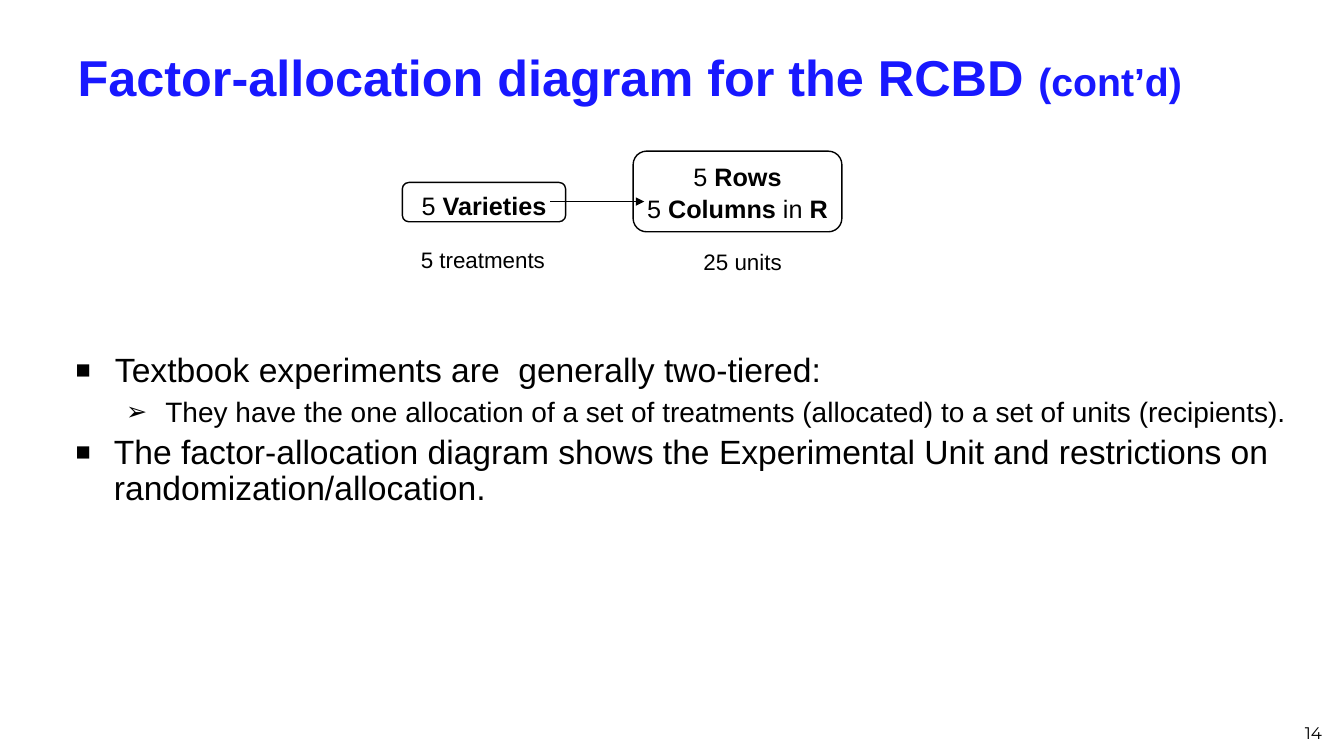
import pptx
import pptx.util
import pptx.oxml
import pptx.oxml.ns
import pptx.dml.color
import pptx.enum.shapes
import pptx.enum.text
import lxml.etree

Inches = pptx.util.Inches
Pt = pptx.util.Pt
ALIGN = pptx.enum.text.PP_ALIGN
ANCHOR = pptx.enum.text.MSO_ANCHOR

COLORS = {"title": "1818FF", "ink": "000000"}
FONT = "Arial"

TITLE = [("Factor-allocation diagram for the RCBD ", 36), ("(cont’d)", 28)]
PAGE_NUMBER = "14"
BULLETS = [
    ("Textbook experiments are  generally two-tiered:", 0, 24, 0.39, 0),
    ("They have the one allocation of a set of treatments (allocated) "
     "to a set of units (recipients).", 1, 20, 0.89, 6),
    ("The factor-allocation diagram shows the Experimental Unit and "
     "restrictions on randomization/allocation.", 0, 24, 0.38, 4.8),
]
BULLET_MARKS = [("■", 75), ("➢", 90)]
PANELS = [
    {"box": (3.99, 1.81, 1.62, 0.39),
     "lines": [[("5 ", False), ("Varieties", True)]],
     "label": "5 treatments", "label_box": (4.06, 2.39, 1.46, 0.37)},
    {"box": (6.28, 1.5, 2.07, 0.8),
     "lines": [[("5 ", False), ("Rows", True)],
               [("5 ", False), ("Columns", True), (" in ", False), ("R", True)]],
     "label": "25 units", "label_box": (6.54, 2.41, 1.65, 0.37)},
]
ARROW = (5.46, 2, 6.39, 2)


def rgb(name):
    return pptx.dml.color.RGBColor.from_string(COLORS[name])


def style(run, size, bold=False, color="ink", font=FONT):
    run.font.size = Pt(size)
    run.font.bold = bold
    run.font.name = font
    run.font.color.rgb = rgb(color)


def add_run(paragraph, text, size, **look):
    run = paragraph.add_run()
    run.text = text
    style(run, size, **look)


def place(shape, left, top, width, height):
    shape.left, shape.top = Inches(left), Inches(top)
    shape.width, shape.height = Inches(width), Inches(height)


def add_element(parent, tag, **attributes):
    element = lxml.etree.SubElement(parent, pptx.oxml.ns.qn(tag))
    for name, value in attributes.items():
        element.set(name, str(value))
    return element


def add_bullet(paragraph, level, margin):
    mark, percent = BULLET_MARKS[level]
    properties = paragraph._p.get_or_add_pPr()
    properties.set("marL", str(Inches(margin)))
    properties.set("indent", str(-Inches(min(margin, 0.39))))
    color = add_element(properties, "a:buClr")
    add_element(color, "a:srgbClr", val=COLORS["ink"])
    add_element(properties, "a:buSzPct", val=percent * 1000)
    add_element(properties, "a:buFont", typeface=FONT)
    add_element(properties, "a:buChar", char=mark)


def add_text(slide, box, text, size, align, anchor, font=FONT):
    frame = slide.shapes.add_textbox(*map(Inches, box)).text_frame
    frame.word_wrap = True
    frame.vertical_anchor = anchor
    frame.paragraphs[0].alignment = align
    add_run(frame.paragraphs[0], text, size, font=font)


def add_title(slide):
    title = slide.shapes.title
    place(title, 0.67, 0.21, 12, 1.1)
    frame = title.text_frame
    frame.auto_size = pptx.enum.text.MSO_AUTO_SIZE.NONE
    frame.vertical_anchor = ANCHOR.MIDDLE
    frame.paragraphs[0].alignment = ALIGN.LEFT
    for text, size in TITLE:
        add_run(frame.paragraphs[0], text, size, bold=True, color="title")


def add_body(slide):
    body = slide.placeholders[1]
    place(body, 0.65, 3.46, 12.65, 3.96)
    frame = body.text_frame
    frame.auto_size = pptx.enum.text.MSO_AUTO_SIZE.NONE
    frame.text = "\n".join(bullet[0] for bullet in BULLETS)
    for paragraph, (text, level, size, margin, before) in zip(frame.paragraphs, BULLETS):
        add_bullet(paragraph, level, margin)
        paragraph.level = level
        paragraph.line_spacing = 0.9
        paragraph.space_before = Pt(before)
        style(paragraph.runs[0], size)


def add_panel(slide, panel):
    shape = slide.shapes.add_shape(
        pptx.enum.shapes.MSO_SHAPE.ROUNDED_RECTANGLE, *map(Inches, panel["box"]))
    shape.shadow.inherit = False
    shape.fill.background()
    shape.line.color.rgb = rgb("ink")
    shape.line.width = Pt(1)
    frame = shape.text_frame
    frame.vertical_anchor = ANCHOR.TOP
    frame.margin_left = frame.margin_right = Inches(0.01)
    frame.margin_top, frame.margin_bottom = Inches(0.06), Inches(0.02)
    for index, line in enumerate(panel["lines"]):
        paragraph = frame.add_paragraph() if index else frame.paragraphs[0]
        paragraph.alignment = ALIGN.CENTER
        paragraph.space_before = Pt(1.5 if index else 0)
        for text, bold in line:
            add_run(paragraph, text, 18, bold=bold)
    add_text(slide, panel["label_box"], panel["label"], 16, ALIGN.CENTER, ANCHOR.TOP)


def add_arrow(slide):
    arrow = slide.shapes.add_connector(
        pptx.enum.shapes.MSO_CONNECTOR.STRAIGHT, *map(Inches, ARROW))
    arrow.line.color.rgb = rgb("ink")
    arrow.line.width = Pt(1)
    add_element(arrow.line._get_or_add_ln(), "a:tailEnd", type="triangle")
    add_element(arrow._element.spPr, "a:effectLst")


def main():
    presentation = pptx.Presentation()
    presentation.slide_width = Inches(13.33)
    presentation.slide_height = Inches(7.5)
    slide = presentation.slides.add_slide(presentation.slide_layouts[1])
    add_title(slide)
    add_text(slide, (10.1, 6.92, 3.11, 0.5), PAGE_NUMBER, 12,
             ALIGN.RIGHT, ANCHOR.BOTTOM, font="Montserrat")
    add_body(slide)
    for panel in PANELS:
        add_panel(slide, panel)
    add_arrow(slide)
    presentation.save("out.pptx")


if __name__ == "__main__":
    main()
